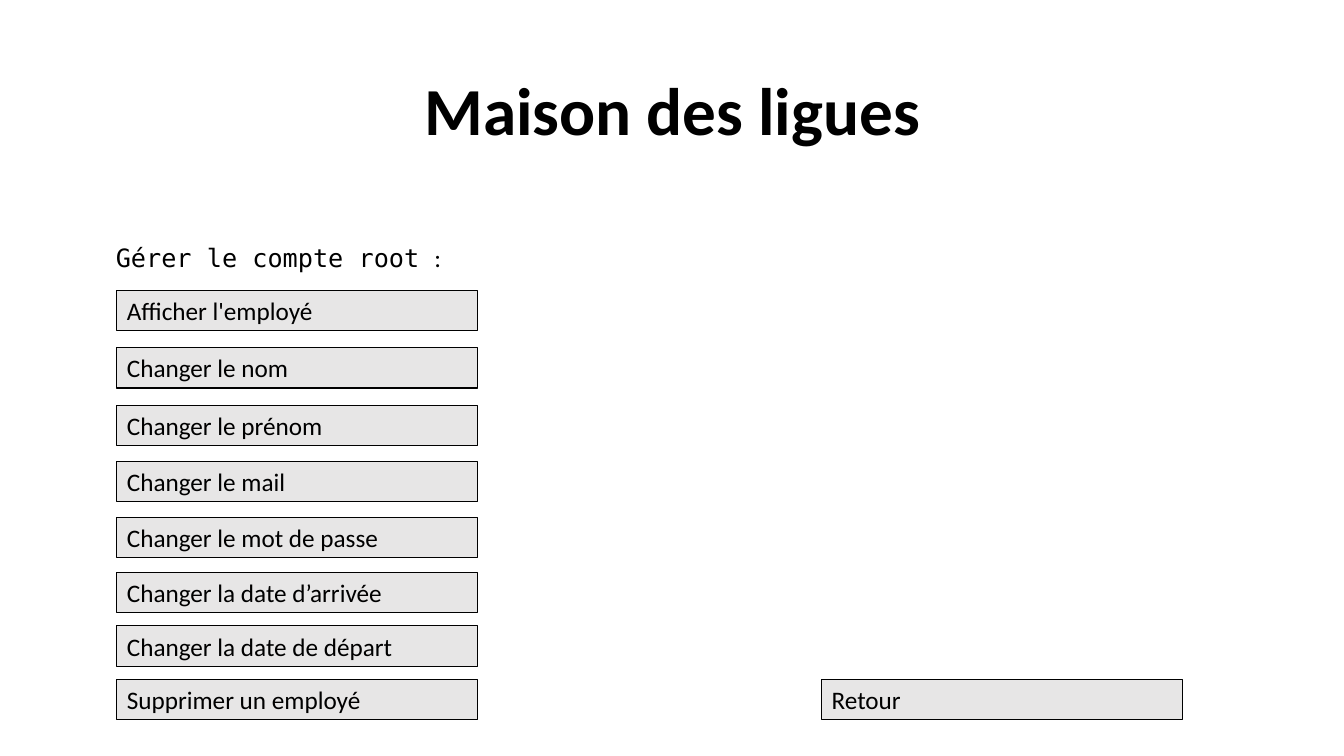
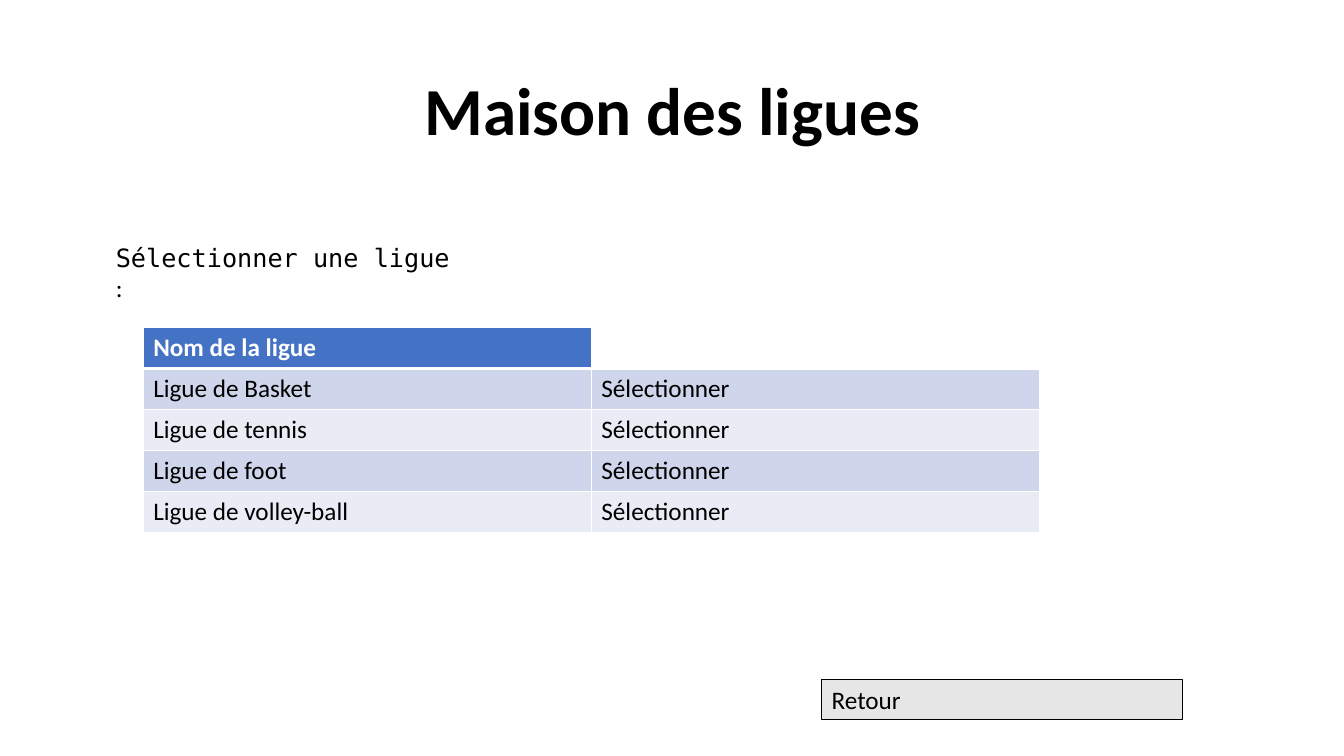
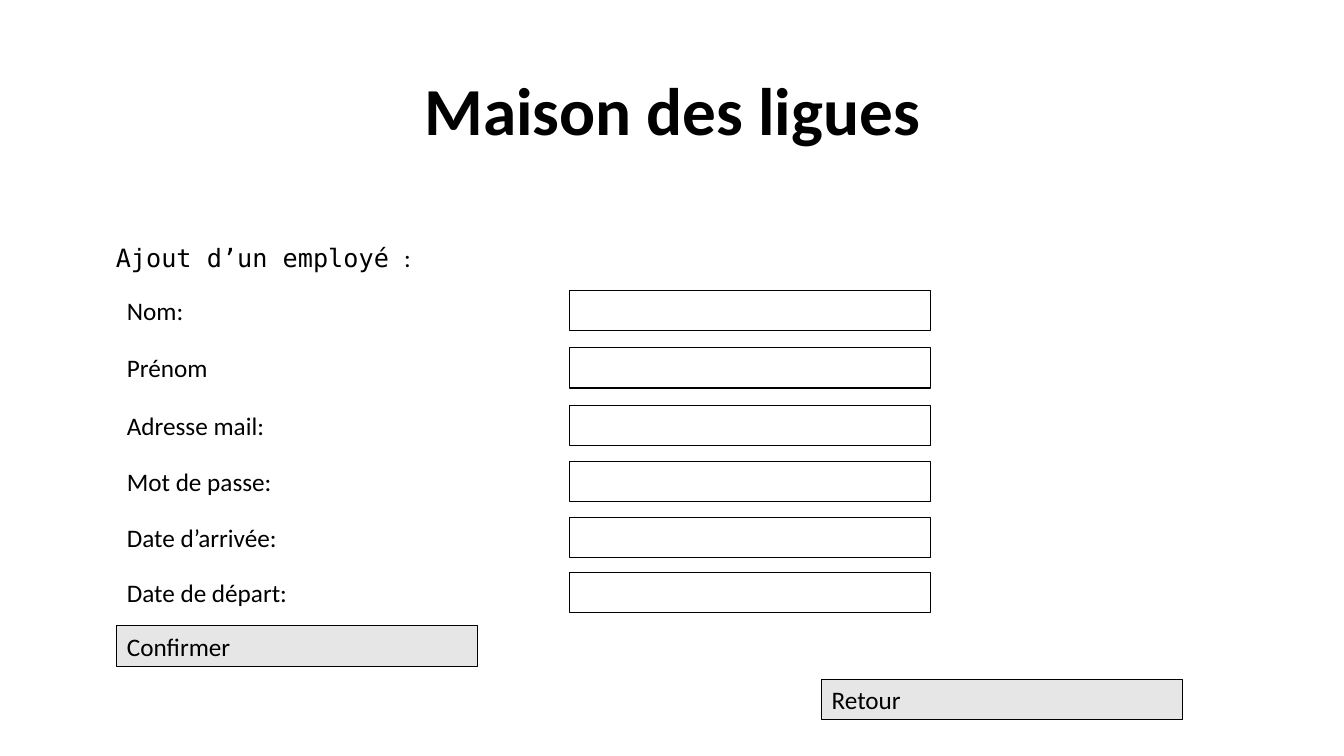
from dataclasses import dataclass
from typing import Optional

import pptx
import pptx.dml.color
import pptx.enum.shapes
import pptx.enum.text
import pptx.oxml.ns
import pptx.slide
import pptx.table
import pptx.text.text
import pptx.util
from lxml import etree

Inches = pptx.util.Inches
Pt = pptx.util.Pt
RGBColor = pptx.dml.color.RGBColor


@dataclass(frozen=True)
class Theme:
    black: RGBColor = RGBColor.from_string("000000")
    white: RGBColor = RGBColor.from_string("FFFFFF")
    button: RGBColor = RGBColor.from_string("E7E6E6")
    table_header: RGBColor = RGBColor.from_string("4472C4")
    odd_row: RGBColor = RGBColor.from_string("CFD5EA")
    even_row: RGBColor = RGBColor.from_string("E9EBF5")
    font: str = "Calibri"
    heading_font: str = "DejaVu Sans Mono"
    title_size: int = 48
    body_size: int = 18
    outline: float = 0.75
    grid_line: float = 1
    header_line: float = 3


@dataclass(frozen=True)
class Box:
    left: float
    top: float
    text: str = ""
    fill: RGBColor = Theme.button
    outlined: bool = True


THEME = Theme()
MENU_LEFT, FIELD_LEFT, RETURN_LEFT = 1.16, 5.65, 8.15
ROW_TOPS = (2.88, 3.45, 4.02, 4.58, 5.13, 5.68, 6.21, 6.74)
BOX_WIDTH, BOX_HEIGHT = 3.58, 0.4

ACTIONS = (
    "Afficher l'employé",
    "Changer le nom",
    "Changer le prénom",
    "Changer le mail",
    "Changer le mot de passe",
    "Changer la date d’arrivée",
    "Changer la date de départ",
    "Supprimer un employé",
)
LEAGUES = ("Ligue de Basket", "Ligue de tennis", "Ligue de foot", "Ligue de volley-ball")
FIELDS = ("Nom:", "Prénom", "Adresse mail:", "Mot de passe:", "Date d’arrivée:", "Date de départ:")


def write(
    frame: pptx.text.text.TextFrame,
    text: str,
    *,
    font: str = THEME.font,
    size: float = THEME.body_size,
    color: RGBColor = THEME.black,
    bold: bool = False,
    align: Optional[pptx.enum.text.PP_ALIGN] = pptx.enum.text.PP_ALIGN.LEFT,
) -> None:
    """Append a formatted run to the first paragraph of the frame."""
    paragraph = frame.paragraphs[0]
    paragraph.alignment = align
    run = paragraph.add_run()
    run.text = text
    run.font.name = font
    run.font.size = Pt(size)
    run.font.color.rgb = color
    run.font.bold = bold


def add_text_frame(
    slide: pptx.slide.Slide, left: float, top: float, width: float, height: float
) -> pptx.text.text.TextFrame:
    frame = slide.shapes.add_textbox(
        Inches(left), Inches(top), Inches(width), Inches(height)
    ).text_frame
    frame.word_wrap = True
    return frame


def draw_box(slide: pptx.slide.Slide, box: Box) -> None:
    shape = slide.shapes.add_shape(
        pptx.enum.shapes.MSO_SHAPE.RECTANGLE,
        Inches(box.left), Inches(box.top), Inches(BOX_WIDTH), Inches(BOX_HEIGHT),
    )
    shape.shadow.inherit = False
    shape.fill.solid()
    shape.fill.fore_color.rgb = box.fill
    if box.outlined:
        shape.line.color.rgb = THEME.black
        shape.line.width = Pt(THEME.outline)
    else:
        shape.line.fill.background()
    if box.text:
        shape.text_frame.vertical_anchor = pptx.enum.text.MSO_ANCHOR.TOP
        shape.text_frame.auto_size = pptx.enum.text.MSO_AUTO_SIZE.SHAPE_TO_FIT_TEXT
        write(shape.text_frame, box.text)


def add_screen(deck, heading: str) -> pptx.slide.Slide:
    """Add a slide with the title, heading and return button that all screens share."""
    slide = deck.slides.add_slide(deck.slide_layouts[6])
    title = add_text_frame(slide, 0.92, 0.4, 11.5, 1.45)
    title.vertical_anchor = pptx.enum.text.MSO_ANCHOR.MIDDLE
    title.paragraphs[0].line_spacing = 0.9
    write(title, "Maison des ligues", size=THEME.title_size, bold=True,
          align=pptx.enum.text.PP_ALIGN.CENTER)
    prompt = add_text_frame(slide, 1.05, 2.35, BOX_WIDTH, BOX_HEIGHT)
    prompt.auto_size = pptx.enum.text.MSO_AUTO_SIZE.SHAPE_TO_FIT_TEXT
    write(prompt, heading + " ", font=THEME.heading_font)
    write(prompt, ":")
    draw_box(slide, Box(RETURN_LEFT, ROW_TOPS[-1], "Retour"))
    return slide


def set_borders(cell, top: float, bottom: float) -> None:
    properties = cell._tc.get_or_add_tcPr()
    widths = {"L": THEME.grid_line, "R": THEME.grid_line, "T": top, "B": bottom}
    for side, width in widths.items():
        line = etree.SubElement(
            properties, pptx.oxml.ns.qn(f"a:ln{side}"), w=str(int(Pt(width)))
        )
        fill = etree.SubElement(line, pptx.oxml.ns.qn("a:solidFill"))
        etree.SubElement(fill, pptx.oxml.ns.qn("a:srgbClr"), val=str(THEME.white))


def add_league_table(slide: pptx.slide.Slide) -> None:
    rows = [("Nom de la ligue", "")] + [(league, "Sélectionner") for league in LEAGUES]
    table = slide.shapes.add_table(
        len(rows), 2, Inches(1.42), Inches(3.25), Inches(8.89), Inches(2.03)
    ).table
    for row, texts in enumerate(rows):
        for column, text in enumerate(texts):
            cell = table.cell(row, column)
            header = row == 0
            set_borders(
                cell,
                top=THEME.header_line if row == 1 else THEME.grid_line,
                bottom=THEME.header_line if header else THEME.grid_line,
            )
            if header:
                color = THEME.table_header if text else THEME.white
            else:
                color = THEME.odd_row if row % 2 else THEME.even_row
            cell.fill.solid()
            cell.fill.fore_color.rgb = color
            if text:
                write(cell.text_frame, text, bold=header,
                      color=THEME.white if header else THEME.black)


def main() -> None:
    deck = pptx.Presentation()
    deck.slide_width, deck.slide_height = Inches(13.33), Inches(7.5)

    account = add_screen(deck, "Gérer le compte root")
    for top, action in zip(ROW_TOPS, ACTIONS):
        draw_box(account, Box(MENU_LEFT, top, action))

    add_league_table(add_screen(deck, "Sélectionner une ligue"))

    new_employee = add_screen(deck, "Ajout d’un employé")
    for top, label in zip(ROW_TOPS, FIELDS):
        draw_box(new_employee, Box(MENU_LEFT, top, label, THEME.white, outlined=False))
        draw_box(new_employee, Box(FIELD_LEFT, top, fill=THEME.white))
    draw_box(new_employee, Box(MENU_LEFT, ROW_TOPS[len(FIELDS)], "Confirmer"))

    deck.save("out.pptx")


if __name__ == "__main__":
    main()
